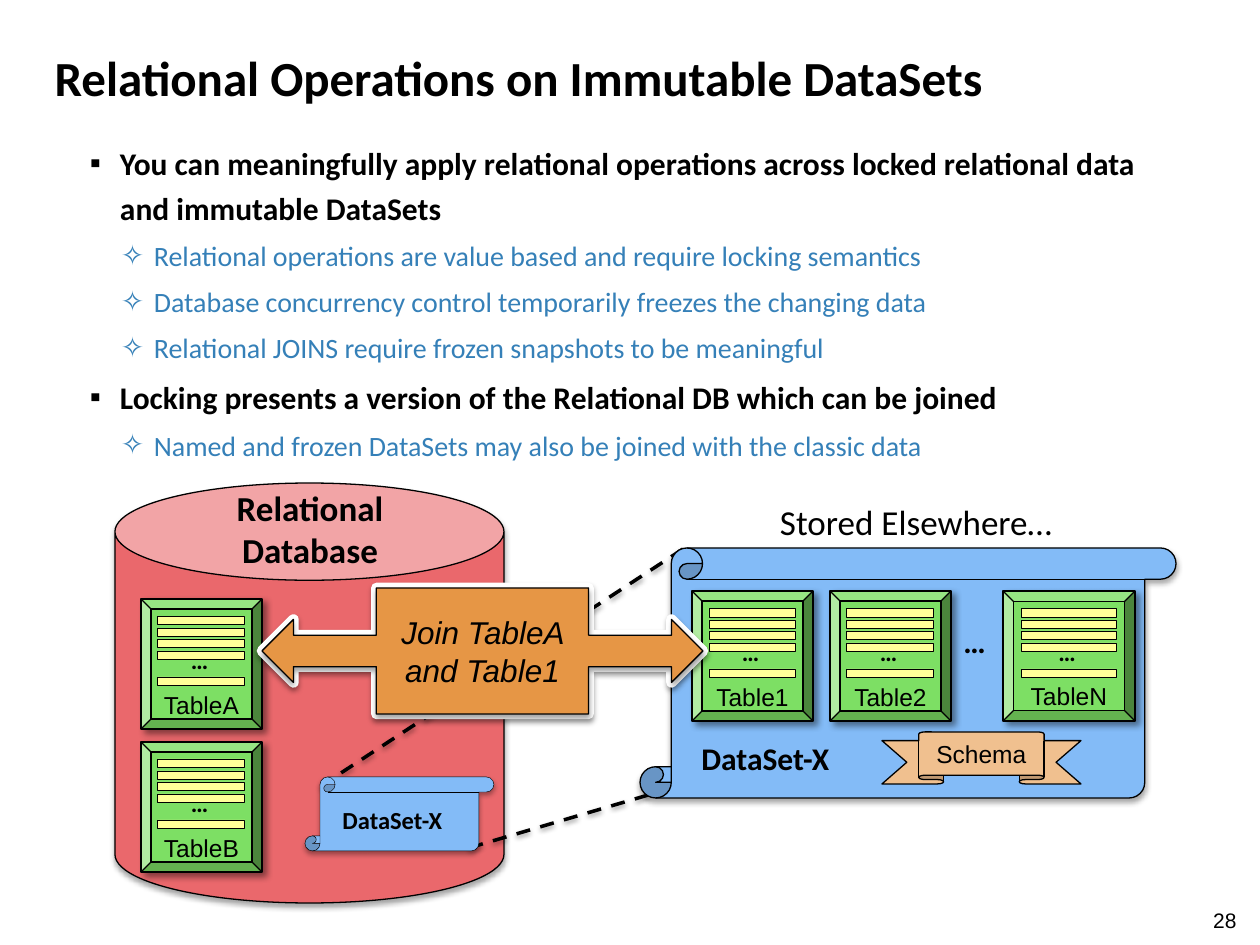
from lxml.etree import SubElement
from pptx import Presentation
from pptx.dml.color import RGBColor
from pptx.enum.dml import MSO_LINE
from pptx.enum.shapes import MSO_CONNECTOR, MSO_SHAPE as SH
from pptx.enum.text import MSO_ANCHOR as ANCHOR, MSO_AUTO_SIZE, PP_ALIGN as AL
from pptx.oxml.ns import qn
from pptx.util import Pt

# Content
TITLE = "Relational Operations on Immutable DataSets"
BODY = [
    (0, "You can meaningfully apply relational operations across locked relational data and immutable DataSets"),
    (1, "Relational operations are value based and require locking semantics"),
    (1, "Database concurrency control temporarily freezes the changing data"),
    (1, "Relational JOINS require frozen snapshots to be meaningful"),
    (0, "Locking presents a version of the Relational DB which can be joined"),
    (1, "Named and frozen DataSets may also be joined with the classic data"),
]
LEVELS = [  # bullet, size, colour, bold, left margin, hanging indent
    ("▪", 18, "black", True, 30, 30),
    ("✧", 16, "blue", False, 64, 33),
]
DB_TABLES = [("TableB", 141, 742, 121), ("TableA", 141, 599, 121)]
SET_TABLES = [("Table1", 692, 591, 121), ("Table2", 830, 591, 121),
              ("TableN", 1003, 591, 132)]
LINKS = [(683, 549, 315, 790), (672, 788, 462, 850)]
ROW_OFFSETS = [17, 29, 40, 52, 78]

C = {"black": "000000", "white": "FFFFFF", "blue": "3580B8", "red": "EA686C",
     "green": "7DDF64", "yellow": "FFFF99", "scroll": "83BBF7",
     "tan": "F0C08F", "orange": "E69645"}
SOFT = (35, 3.1, 1.8, 90)   # opacity %, blur pt, distance pt, angle
RAISED = (43, 4, 3, 45)
LINK_SHADOW = (38, 3.1, 1.6, 90)
EMU = 914400 / 126


def px(n):
    return round(n * EMU)


def box(*at):
    return [px(n) for n in at]


def rgb(name):
    return RGBColor.from_string(C[name])


def put(s, text, size=18, font="Calibri", color="black", bold=False,
        italic=False, align=AL.LEFT, anchor=ANCHOR.TOP, inset=None, after=0):
    """Add text to s, a paragraph for each line, and return the last one."""
    tf = s.text_frame
    tf.word_wrap, tf.auto_size, tf.vertical_anchor = True, MSO_AUTO_SIZE.NONE, anchor
    if inset:
        (tf.margin_left, tf.margin_top,
         tf.margin_right, tf.margin_bottom) = box(*inset)
    for line in text.split("\n"):
        p = tf.add_paragraph() if tf.text else tf.paragraphs[0]
        p.alignment, p.space_after = align, Pt(after)
        r = p.add_run()
        r.text = line
        f = r.font
        f.size, f.name, f.bold, f.italic = Pt(size), font, bold, italic
        f.color.rgb = rgb(color)
    return p


def cast(effects, shadow):
    opacity, blur, dist, angle = shadow
    el = SubElement(effects, qn("a:outerShdw"), blurRad=str(Pt(blur)),
                    dist=str(Pt(dist)), dir=str(angle * 60000), rotWithShape="0")
    clr = SubElement(el, qn("a:srgbClr"), val=C["black"])
    SubElement(clr, qn("a:alpha"), val=str(opacity * 1000))


def shape(kind, at, fill, width=0.75, line="black", adj=(), shadow=None):
    s = shapes.add_shape(kind, *box(*at))
    s.fill.solid()
    s.fill.fore_color.rgb = rgb(fill)
    s.line.color.rgb = rgb(line)
    s.line.width = Pt(width)
    for i, value in enumerate(adj):
        s.adjustments[i] = value
    s.shadow.inherit = False
    if shadow:
        cast(s._element.spPr.find(qn("a:effectLst")), shadow)
    return s


def label(text, *at, **fmt):
    return put(shapes.add_textbox(*box(*at)), text, **fmt)


def table_icon(name, x, y, w):
    s = shape(SH.BEVEL, (x, y, w, 130), "green", adj=[0.083], shadow=RAISED)
    put(s, name, size=14, font="Arial", align=AL.CENTER, anchor=ANCHOR.BOTTOM,
        inset=(0, 6, 0, 0), after=6)
    row_w = round(w * 0.72)
    for dy in ROW_OFFSETS:
        shape(SH.RECTANGLE, (x + (w - row_w) / 2, y + dy, row_w, 9), "yellow", 0.5)
    label("…", x + w / 2 - 23, y + 40, 51, 43, size=14, bold=True)


prs = Presentation()
prs.slide_width, prs.slide_height = box(1260, 945)
slide = prs.slides.add_slide(prs.slide_layouts[5])
shapes = slide.shapes

# Title
title = shapes.title
title.left, title.top, title.width, title.height = box(42, 22, 1134, 110)
put(title, TITLE, size=28, bold=True, anchor=ANCHOR.MIDDLE)

# Bulleted body
body = shapes.add_textbox(*box(71, 126, 1126, 756))
for level, text in BODY:
    bullet, size, color, bold, margin, hang = LEVELS[level]
    p = put(body, text, size=size, color=color, bold=bold, inset=(19, 10, 19, 10))
    p.level, p.line_spacing, p.space_before = level, 1.2, Pt(size * 0.2)
    pPr = p._p.get_or_add_pPr()
    pPr.set("marL", str(px(margin)))
    pPr.set("indent", str(px(-hang)))
    SubElement(pPr, qn("a:buFont"), typeface="Arial")
    SubElement(pPr, qn("a:buChar"), char=bullet)

# Slide number
label("28", 1102, 895, 147, 50, size=12, font="Arial", align=AL.RIGHT,
      anchor=ANCHOR.MIDDLE)

# Relational database
shape(SH.CAN, (115, 483, 389, 420), "red", shadow=SOFT)
label("Relational\nDatabase", 213, 480, 194, 97, size=20, bold=True, align=AL.CENTER)
for table in DB_TABLES:
    table_icon(*table)

# Dashed links between the small and the large scroll
for ends in LINKS:
    c = shapes.add_connector(MSO_CONNECTOR.STRAIGHT, *box(*ends))
    c.line.color.rgb = rgb("black")
    c.line.width = Pt(2)
    c.line.dash_style = MSO_LINE.DASH
    cast(SubElement(c._element.spPr, qn("a:effectLst")), LINK_SHADOW)

# Small scroll inside the database
shape(SH.VERTICAL_SCROLL, (305, 777, 189, 74), "scroll", 0.25, adj=[0.204], shadow=SOFT)
label("DataSet-X", 330, 799, 142, 37, size=14, bold=True)

# Large scroll stored elsewhere
shape(SH.VERTICAL_SCROLL, (640, 548, 536, 250), "scroll", shadow=SOFT)
ribbon = shape(SH.UP_RIBBON, (882, 732, 199, 52), "tan", adj=[0.167, 0.63])
put(ribbon, "Schema", size=14, font="Arial", align=AL.CENTER,
    anchor=ANCHOR.MIDDLE, inset=(0, 6, 0, 6))
for table in SET_TABLES:
    table_icon(*table)
label("DataSet-X", 689, 733, 175, 50, bold=True)
label("…", 951, 616, 57, 50, bold=True)
label("Stored Elsewhere…", 719, 494, 394, 55, size=20, align=AL.CENTER)

# Join arrow with a white halo
for line, width in [("white", 6), ("black", 0.75)]:
    join = shape(SH.LEFT_RIGHT_ARROW_CALLOUT, (262, 588, 441, 126), "orange",
                 width, line, shadow=SOFT)
put(join, "Join TableA and Table1", font="Arial", italic=True,
    align=AL.CENTER, anchor=ANCHOR.MIDDLE)

prs.save("out.pptx")
